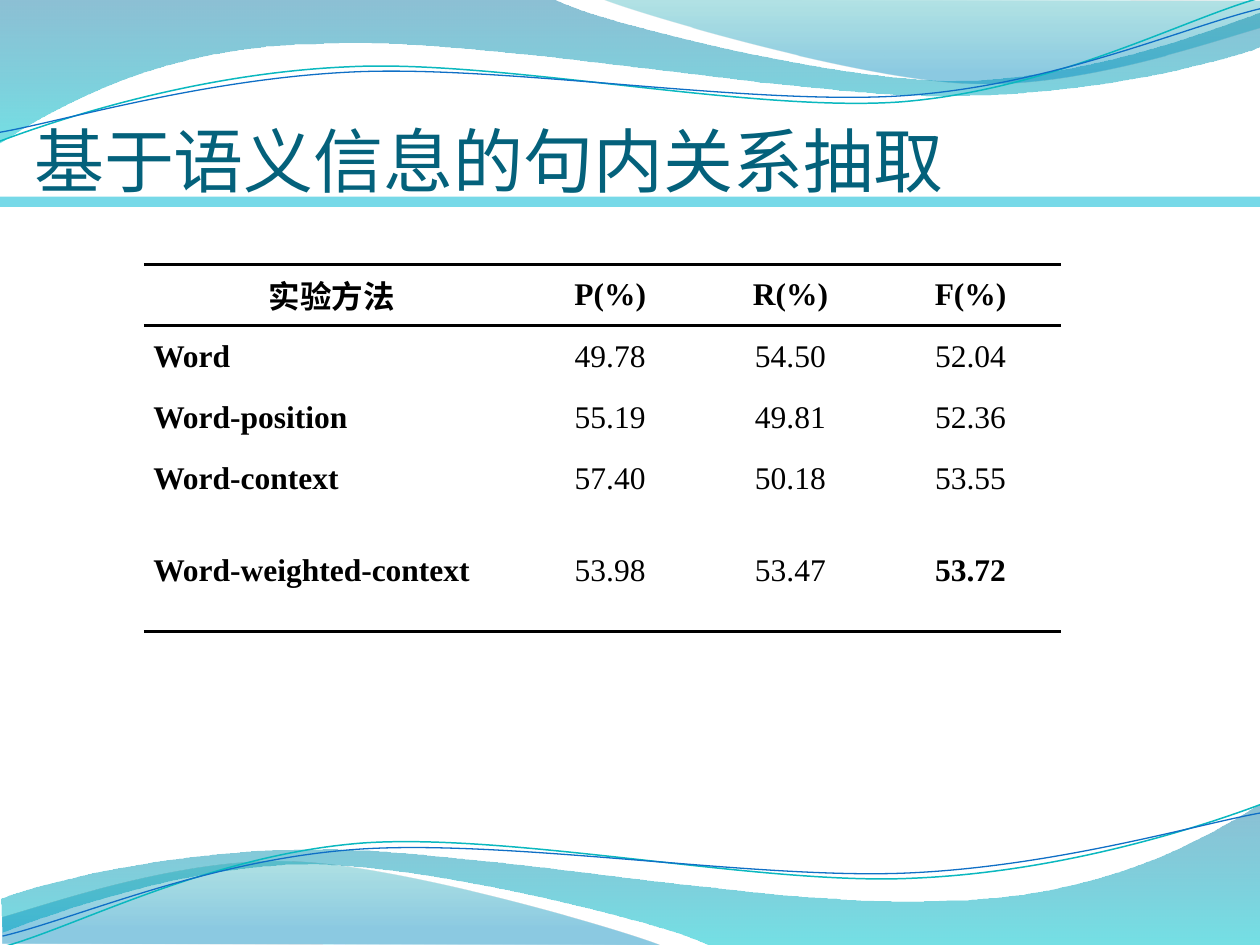
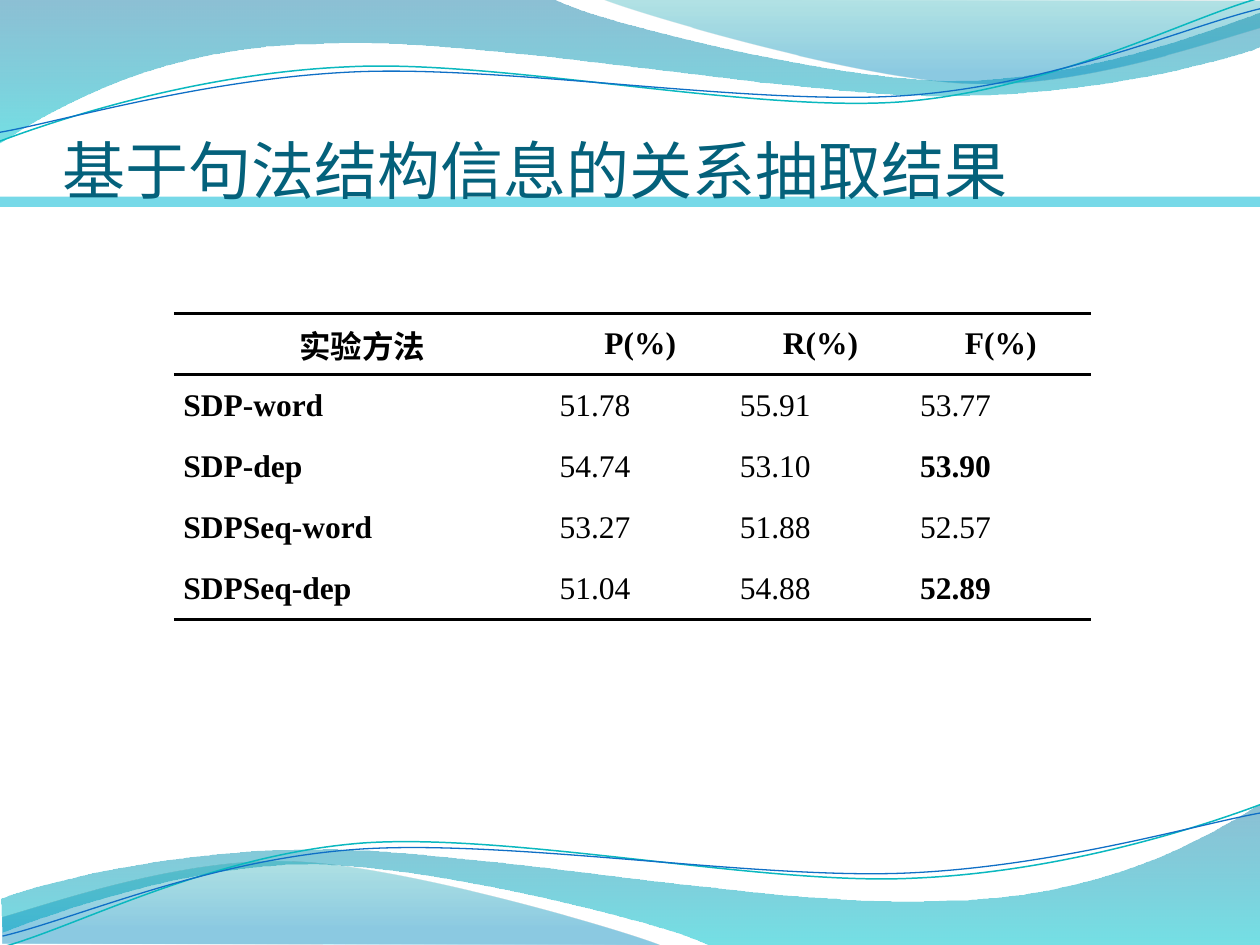
"""Builds two slides of relation extraction results on a wave background."""
import math

import pptx
import pptx.dml.color
import pptx.enum.shapes
import pptx.enum.text
import pptx.oxml
import pptx.oxml.ns
import pptx.util
from lxml import etree

Pt = pptx.util.Pt
qn = pptx.oxml.ns.qn
ALIGN = pptx.enum.text.PP_ALIGN
MIDDLE = pptx.enum.text.MSO_ANCHOR.MIDDLE
BOTTOM = pptx.enum.text.MSO_ANCHOR.BOTTOM

COLORS = {
    "title": "04617B", "bar": "77D9E8", "text": "000000", "paper": "FFFFFF",
    "deep": "0074A1", "aqua": "00C6CF", "teal": "00A1A9", "sky": "008BBF",
    "teal_line": "0AB8BF", "blue_line": "0F6FC6",
}
LATIN, CJK, SERIF = "Calibri", "Noto Sans CJK SC", "Times New Roman"
SLIDE_W, SLIDE_H = 720, 540
MIRROR_W = 721.44
TILT = 2.7
UNITS = 100
NO_STYLE = "{2D5ABB26-0587-4C30-8999-92F81FD0307C}"
COLUMNS = (215, 103, 103, 103)
ROW_H = 35
HEADER = ("实验方法", "P(%)", "R(%)", "F(%)")

BANDS = (
    {"start": (0, 0),
     "segments": (
         [(316.8, 0)],
         [(342.72, 12.96), (478.08, 46.08), (545.76, 46.08)],
         [(614.16, 46.08), (689.76, 18.72), (720, 7.2)],
         [(720.72, 26.64)],
         [(707.76, 32.4), (626.4, 55.44), (537.12, 54.72)],
         [(447.84, 54.72), (275.04, 20.88), (185.04, 25.2)],
         [(92.88, 25.92), (33.12, 60.48), (-0.72, 82.08)]),
     "stops": ((0, "deep", 45), (1, "aqua", 55))},
    {"start": (344.88, 0),
     "segments": (
         [(366.48, 8.64), (491.04, 45.36), (553.68, 47.52)],
         [(616.32, 50.4), (691.92, 23.76), (720, 15.84)],
         [(720, 0.72)]),
     "stops": ((0, "teal", 30), (0.8, "sky", 45))},
)
STRANDS = (
    {"start": (0, 80.64), "center": (359.28, 42.12),
     "segments": (
         [(34.56, 67.68), (113.76, 41.76), (199.44, 38.16)],
         [(284.4, 33.84), (426.96, 64.08), (513.36, 58.32)],
         [(599.76, 51.84), (675.36, 11.52), (718.56, -0.72)]),
     "color": "teal_line", "width": 0.85},
    {"start": (0, 75.6), "center": (359.64, 43.2),
     "segments": (
         [(33.84, 69.84), (118.08, 44.64), (203.76, 41.04)],
         [(290.16, 37.44), (429.84, 60.48), (516.24, 54.72)],
         [(601.92, 48.96), (677.52, 15.12), (720, 5.04)]),
     "color": "blue_line", "width": 0.75},
)

SLIDES = (
    {"title": "基于语义信息的句内关系抽取", "size": 40, "title_at": (19.5, 25.2),
     "table_at": (82.2, 151.2), "last_row": 2 * ROW_H,
     "name_align": ALIGN.LEFT, "value_align": ALIGN.CENTER,
     "best": ("53.72",),
     "rows": (("Word", "49.78", "54.50", "52.04"),
              ("Word-position", "55.19", "49.81", "52.36"),
              ("Word-context", "57.40", "50.18", "53.55"),
              ("Word-weighted-context", "53.98", "53.47", "53.72"))},
    {"title": "基于句法结构信息的关系抽取结果", "size": 36, "title_at": (36, 28.2),
     "table_at": (99.4, 179.2), "last_row": ROW_H,
     "name_align": ALIGN.JUSTIFY, "value_align": ALIGN.JUSTIFY,
     "best": ("53.90", "52.89"),
     "rows": (("SDP-word", "51.78", "55.91", "53.77"),
              ("SDP-dep", "54.74", "53.10", "53.90"),
              ("SDPSeq-word", "53.27", "51.88", "52.57"),
              ("SDPSeq-dep", "51.04", "54.88", "52.89"))},
)


def rgb(name):
    """Return the named colour."""
    return pptx.dml.color.RGBColor.from_string(COLORS[name])


def mirror(point):
    """Turn a point of the top waves half round, to the foot of the slide."""
    return MIRROR_W - point[0], SLIDE_H - point[1]


def untilt(point, center):
    """Turn a point clockwise round the centre by the tilt of the strands."""
    a = math.radians(TILT)
    x, y = point[0] - center[0], point[1] - center[1]
    return (center[0] + x * math.cos(a) - y * math.sin(a),
            center[1] + x * math.sin(a) + y * math.cos(a))


def add_curve(s, wave, place, close):
    """Add a freeform whose three-point segments are Bezier curves."""
    def scaled(point):
        return tuple(v * UNITS for v in place(point))

    builder = s.shapes.build_freeform(*scaled(wave["start"]), scale=Pt(1) / UNITS)
    for segment in wave["segments"]:
        builder.add_line_segments([scaled(p) for p in segment], close=False)
    if close:
        builder.add_line_segments([], close=True)
    sp = builder.convert_to_shape()
    sp.shadow.inherit = False
    lines = list(sp._element.iter(qn("a:lnTo")))
    for segment in wave["segments"]:
        used, lines = lines[:len(segment)], lines[len(segment):]
        if len(used) == 3:
            curve = etree.Element(qn("a:cubicBezTo"))
            used[0].addprevious(curve)
            for line in used:
                curve.append(line[0])
                line.getparent().remove(line)
    return sp


def add_band(s, wave, place):
    """Add a wave filled with a translucent vertical gradient."""
    sp = add_curve(s, wave, place, True)
    sp.line.fill.background()
    sp.fill.gradient()
    sp.fill.gradient_angle = 270
    for stop, (position, color, _) in zip(sp.fill.gradient_stops, wave["stops"]):
        stop.position = position
        stop.color.rgb = rgb(color)
    colors = sp._element.spPr.iter(qn("a:srgbClr"))
    for color, (_, _, opacity) in zip(list(colors), wave["stops"]):
        etree.SubElement(color, qn("a:alpha"), val=str(opacity * 1000))


def add_strand(s, wave, place):
    """Add a thin tilted wave line."""
    center = place(wave["center"])
    sp = add_curve(s, wave, lambda p: untilt(place(p), center), False)
    sp.rotation = -TILT
    sp.fill.background()
    sp.line.color.rgb = rgb(wave["color"])
    sp.line.width = Pt(wave["width"])


def add_background(s):
    """Add the waves at head and foot, and the bar under the title."""
    for place in (lambda point: point, mirror):
        for wave in BANDS:
            add_band(s, wave, place)
        for wave in STRANDS:
            add_strand(s, wave, place)
    rect = pptx.enum.shapes.MSO_SHAPE.RECTANGLE
    sp = s.shapes.add_shape(rect, 0, Pt(112.4), Pt(SLIDE_W), Pt(5.8))
    sp.shadow.inherit = False
    sp.fill.solid()
    sp.fill.fore_color.rgb = rgb("bar")
    sp.line.fill.background()


def add_run(p, text, size, color, latin, bold=False):
    """Add a run with its Latin and East Asian fonts."""
    r = p.add_run()
    r.text = text
    r.font.size = Pt(size)
    r.font.bold = bold
    r.font.color.rgb = rgb(color)
    r.font.name = latin
    r.font._element.find(qn("a:latin")).addnext(
        etree.Element(qn("a:ea"), typeface=CJK))


def add_title(s, text, size, at):
    """Add the slide title, standing on the bottom of its box."""
    sp = s.shapes.add_textbox(Pt(at[0]), Pt(at[1]), Pt(648), Pt(90))
    tf = sp.text_frame
    tf.word_wrap = True
    tf.vertical_anchor = BOTTOM
    tf.margin_left = tf.margin_right = tf.margin_bottom = 0
    tf.margin_top = Pt(3.6)
    add_run(tf.paragraphs[0], text, size, "title", LATIN)


def add_border(cell, side):
    """Rule one side of a cell."""
    ln = etree.SubElement(cell._tc.get_or_add_tcPr(), qn("a:" + side),
                          w=str(Pt(2)))
    fill = etree.SubElement(ln, qn("a:solidFill"))
    etree.SubElement(fill, qn("a:srgbClr"), val=COLORS["text"])


def fill_cell(cell, text, align, bold, borders):
    """Set the text, rules and fill of a cell."""
    for side in borders:
        add_border(cell, side)
    cell.fill.solid()
    cell.fill.fore_color.rgb = rgb("paper")
    cell.vertical_anchor = MIDDLE
    cell.margin_left = cell.margin_right = Pt(5.4)
    cell.margin_top = cell.margin_bottom = 0
    p = cell.text_frame.paragraphs[0]
    p.alignment = align
    add_run(p, text, 18, "text", CJK if text == HEADER[0] else SERIF, bold)


def add_results(s, data):
    """Add the three-rule table of results."""
    rows = (HEADER,) + data["rows"]
    heights = [ROW_H] * (len(rows) - 1) + [data["last_row"]]
    x, y = data["table_at"]
    frame = s.shapes.add_table(len(rows), len(COLUMNS), Pt(x), Pt(y),
                               Pt(sum(COLUMNS)), Pt(sum(heights)))
    table = frame.table
    table.first_row = table.horz_banding = False
    table._tbl.tblPr.find(qn("a:tableStyleId")).text = NO_STYLE
    for column, width in zip(table.columns, COLUMNS):
        column.width = Pt(width)
    for row, height in zip(table.rows, heights):
        row.height = Pt(height)
    for i, row in enumerate(rows):
        borders = {0: ("lnT", "lnB"), len(rows) - 1: ("lnB",)}.get(i, ())
        for j, text in enumerate(row):
            align = data["name_align"] if j == 0 else data["value_align"]
            if i == 0:
                align = ALIGN.CENTER
            bold = i == 0 or j == 0 or text in data["best"]
            fill_cell(table.cell(i, j), text, align, bold, borders)


def main():
    """Build and save the presentation."""
    prs = pptx.Presentation()
    prs.slide_width, prs.slide_height = Pt(SLIDE_W), Pt(SLIDE_H)
    for data in SLIDES:
        s = prs.slides.add_slide(prs.slide_layouts[6])
        add_background(s)
        add_title(s, data["title"], data["size"], data["title_at"])
        add_results(s, data)
    prs.save("out.pptx")


main()
